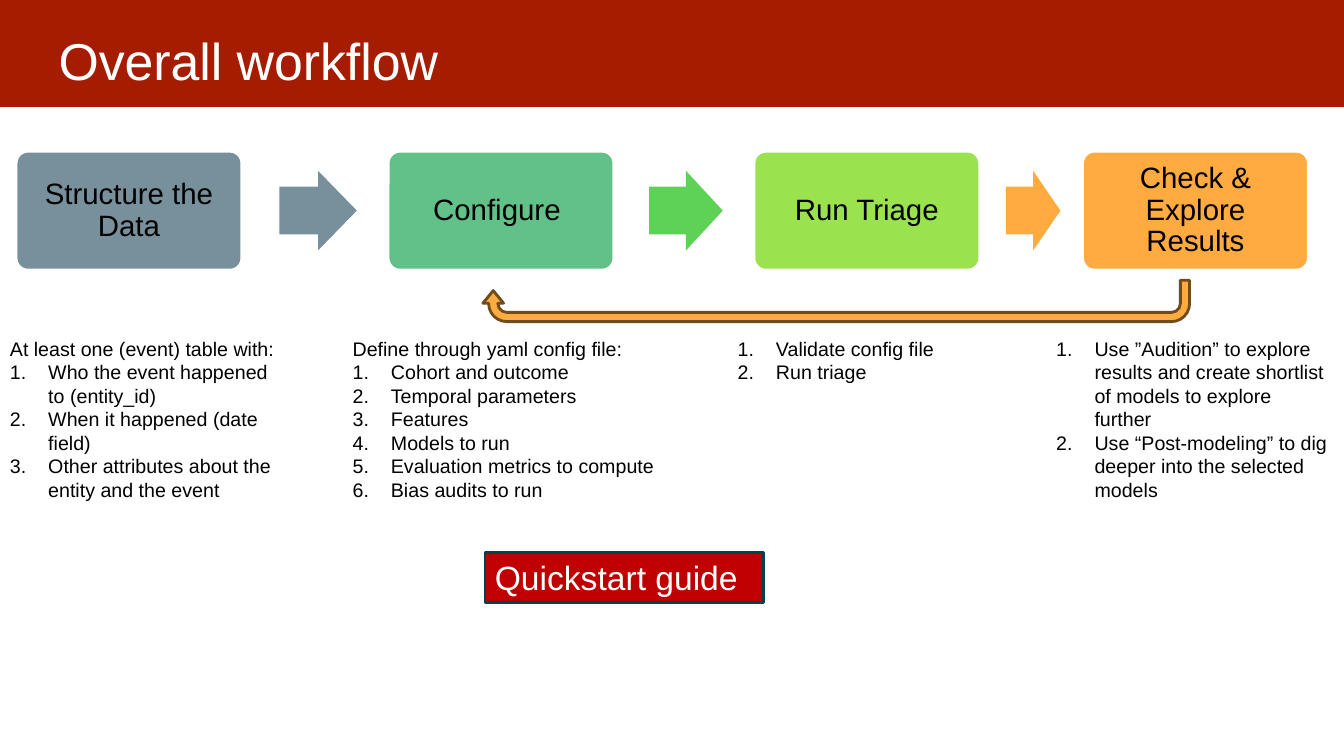
from lxml.etree import SubElement
from pptx import Presentation
from pptx.dml.color import RGBColor
from pptx.enum.shapes import MSO_SHAPE
from pptx.enum.text import MSO_ANCHOR, PP_ALIGN
from pptx.oxml.ns import qn
from pptx.util import Inches, Pt

BLACK = RGBColor(0x00, 0x00, 0x00)
WHITE = RGBColor(0xFF, 0xFF, 0xFF)
BAND = RGBColor(0xA6, 0x1C, 0x00)
SLATE = RGBColor(0x78, 0x90, 0x9C)
TEAL = RGBColor(0x61, 0xC1, 0x88)
GREEN = RGBColor(0x5E, 0xD2, 0x57)
LIME = RGBColor(0x9B, 0xE2, 0x4F)
ORANGE = RGBColor(0xFF, 0xAB, 0x40)
BROWN = RGBColor(0x70, 0x4B, 0x1C)
RED = RGBColor(0xC0, 0x00, 0x00)
DARK_TEAL = RGBColor(0x00, 0x42, 0x49)

CARD_TOP, CARD_W, CARD_H = 20, 16.8, 15.73
ARROW_H = 10.53
NOTES_TOP = 43.87

STEPS = [
    ("Structure the Data", 1.2, SLATE),
    ("Configure ", 28.88, TEAL),
    ("Run Triage", 56.1, LIME),
    ("Check & Explore Results", 80.55, ORANGE),
]
ARROWS = [(20.78, 5.77, SLATE), (48.3, 5.48, GREEN), (74.85, 4.05, ORANGE)]
NOTES = [
    (0, 21.83, 23.33, "At least one (event) table with:", [
        "Who the event happened to (entity_id)",
        "When it happened (date field)",
        "Other attributes about the entity and the event",
    ]),
    (25.5, 24.3, 23.33, "Define through yaml config file:", [
        "Cohort and outcome",
        "Temporal parameters",
        "Features",
        "Models to run",
        "Evaluation metrics to compute",
        "Bias audits to run",
    ]),
    (54.15, 24.3, 7.6, None, ["Validate config file", "Run triage"]),
    (77.85, 21.83, 23.33, None, [
        "Use ”Audition” to explore results and create shortlist of models to explore further",
        "Use “Post-modeling” to dig deeper into the selected models",
    ]),
]


class WorkflowSlide:
    font = "Arial"

    def __init__(self, prs):
        self.width, self.height = prs.slide_width, prs.slide_height
        self.s = prs.slides.add_slide(prs.slide_layouts[6])

    def place(self, x, y, w, h):
        return [int(share * size / 100) for share, size in
                zip((x, y, w, h), (self.width, self.height) * 2)]

    def shape(self, kind, box, fill, line=None, adj=()):
        sp = self.s.shapes.add_shape(kind, *self.place(*box))
        sp.shadow.inherit = False
        sp.fill.solid()
        sp.fill.fore_color.rgb = fill
        if line is None:
            sp.line.fill.background()
        else:
            sp.line.color.rgb = line
            sp.line.width = Pt(2)
        for i, value in enumerate(adj):
            sp.adjustments[i] = value
        return sp

    def textbox(self, box):
        return self.s.shapes.add_textbox(*self.place(*box))

    def frame(self, sp, side=0.1, top=0.05, anchor=MSO_ANCHOR.TOP):
        tf = sp.text_frame
        tf.word_wrap = True
        tf.vertical_anchor = anchor
        tf.margin_left = tf.margin_right = Inches(side)
        tf.margin_top = tf.margin_bottom = Inches(top)
        return tf

    def add_text(self, p, text, size, color=BLACK, align=PP_ALIGN.LEFT):
        p.alignment = align
        r = p.add_run()
        r.text = text
        r.font.name = self.font
        r.font.size = Pt(size)
        r.font.color.rgb = color

    def number(self, p):
        pPr = p._p.get_or_add_pPr()
        indent = Inches(0.38)
        pPr.set("marL", str(indent))
        pPr.set("indent", str(-indent))
        SubElement(pPr, qn("a:buFont"), typeface=self.font)
        SubElement(pPr, qn("a:buAutoNum"), type="arabicPeriod")

    def title(self, text):
        self.shape(MSO_SHAPE.RECTANGLE, (0, 0, 100, 14.13), BAND)
        tf = self.frame(self.textbox((3.38, 2, 93.15, 11.07)), 0.13, 0.13)
        self.add_text(tf.paragraphs[0], text, 37, WHITE)

    def card(self, text, x, fill):
        box = (x, CARD_TOP, CARD_W, CARD_H)
        sp = self.shape(MSO_SHAPE.ROUNDED_RECTANGLE, box, fill, WHITE, [0.1])
        p = self.frame(sp, 0.09, 0.09, MSO_ANCHOR.MIDDLE).paragraphs[0]
        p.line_spacing = 0.9
        self.add_text(p, text, 21, align=PP_ALIGN.CENTER)

    def arrow(self, x, w, fill):
        y = CARD_TOP + (CARD_H - ARROW_H) / 2
        self.shape(MSO_SHAPE.RIGHT_ARROW, (x, y, w, ARROW_H), fill, adj=[0.6, 0.5])

    def notes(self, x, w, h, heading, items):
        tf = self.frame(self.textbox((x, NOTES_TOP, w, h)))
        p = tf.paragraphs[0]
        if heading:
            self.add_text(p, heading, 14)
        for i, item in enumerate(items):
            if heading or i:
                p = tf.add_paragraph()
            self.number(p)
            self.add_text(p, item, 14)

    def button(self, text, box):
        sp = self.shape(MSO_SHAPE.RECTANGLE, box, RED, DARK_TEAL)
        self.add_text(self.frame(sp).paragraphs[0], text, 24, WHITE)

    def feedback(self, box):
        adj = [0.223, 0.25, 0.304, 0.438, 0.75]
        sp = self.shape(MSO_SHAPE.U_TURN_ARROW, box, ORANGE, BROWN, adj)
        sp.rotation = 180


def main():
    prs = Presentation()
    prs.slide_width, prs.slide_height = Inches(13.33), Inches(7.5)
    slide = WorkflowSlide(prs)
    slide.title("Overall workflow")
    for step in STEPS:
        slide.card(*step)
    for arrow in ARROWS:
        slide.arrow(*arrow)
    for note in NOTES:
        slide.notes(*note)
    slide.button("Quickstart guide", (36.08, 73.07, 20.7, 6.67))
    slide.feedback((35.93, 37.07, 52.58, 5.47))
    prs.save("out.pptx")


if __name__ == "__main__":
    main()
